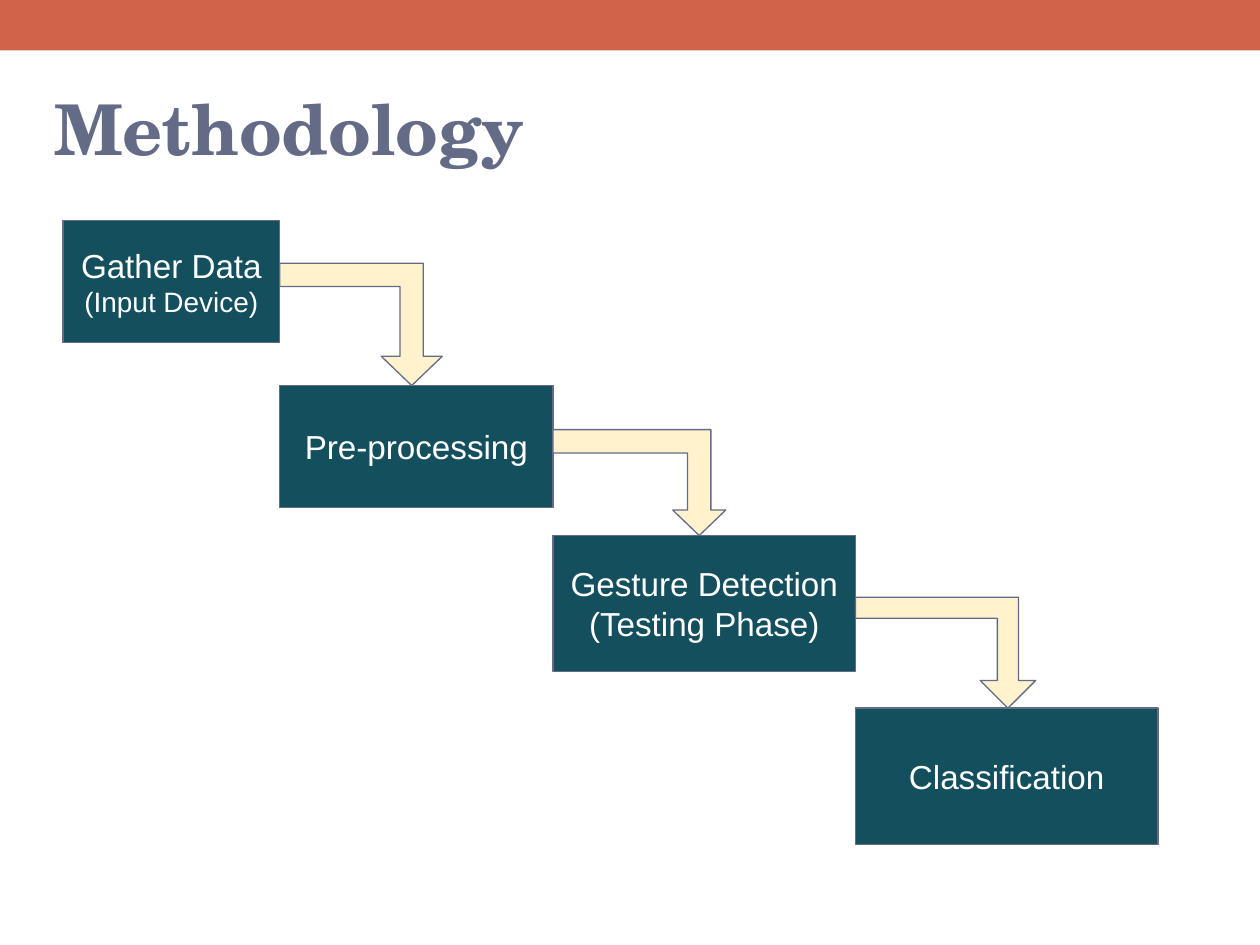
from pptx import Presentation
from pptx.dml.color import RGBColor
from pptx.enum import shapes, text
from pptx.util import Inches, Pt

COLORS = {"band": "D16349", "title": "646B86", "step": "134F5C",
          "arrow": "FFF2CC", "outline": "646B86", "label": "FFFFFF"}
KINDS = shapes.MSO_SHAPE

# Top, width, height, then (line, size) pairs
STEPS = [
    (1.75, 1.72, 0.97, [("Gather Data", 19), ("(Input Device)", 16)]),
    (3.06, 2.17, 0.97, [("Pre-processing", 19)]),
    (4.25, 2.4, 1.08, [("Gesture Detection", 19), ("(Testing Phase)", 19)]),
    (5.62, 2.4, 1.08, [("Classification", 19)]),
]
# Width, height, adjustments of the arrow leaving each step
ARROWS = [
    (1.29, 0.97, (0.19, 0.25, 0.24)),
    (1.37, 0.84, (0.22, 0.25, 0.24)),
    (1.43, 0.88, (0.19, 0.25, 0.25)),
]

prs = Presentation()
prs.slide_width, prs.slide_height = Inches(10), Inches(7.5)
slide = prs.slides.add_slide(prs.slide_layouts[5])


def add_filled(kind, left, top, width, height, fill, outline=None):
    shape = slide.shapes.add_shape(
        kind, Inches(left), Inches(top), Inches(width), Inches(height))
    shape.shadow.inherit = False
    shape.fill.solid()
    shape.fill.fore_color.rgb = RGBColor.from_string(COLORS[fill])
    if outline:
        shape.line.color.rgb = RGBColor.from_string(COLORS[outline])
        shape.line.width = Pt(0.75)
    else:
        shape.line.fill.background()
    return shape


def write_line(paragraph, words, align, color, **font_format):
    paragraph.alignment = align
    run = paragraph.add_run()
    run.text = words
    run.font.color.rgb = RGBColor.from_string(COLORS[color])
    for key, value in font_format.items():
        setattr(run.font, key, value)


add_filled(KINDS.RECTANGLE, 0, 0, 10, 0.4, "band")

title = slide.shapes.title
title_place = {"left": 0.33, "top": 0.47, "width": 9, "height": 1.08}
for key, value in title_place.items():
    setattr(title, key, Inches(value))
title.text_frame.vertical_anchor = text.MSO_ANCHOR.MIDDLE
write_line(title.text_frame.paragraphs[0], "Methodology", text.PP_ALIGN.LEFT,
           "title", name="TeX Gyre Schola", size=Pt(40), bold=True)

left = 0.5
for i, (top, width, height, lines) in enumerate(STEPS):
    step = add_filled(KINDS.RECTANGLE, left, top, width, height,
                      "step", "outline")
    frame = step.text_frame
    frame_format = {"word_wrap": True,
                    "vertical_anchor": text.MSO_ANCHOR.MIDDLE}
    for side in ("left", "top", "right", "bottom"):
        frame_format[f"margin_{side}"] = Inches(0.1)
    for key, value in frame_format.items():
        setattr(frame, key, value)
    for n, (words, size) in enumerate(lines):
        paragraph = frame.add_paragraph() if n else frame.paragraphs[0]
        write_line(paragraph, words, text.PP_ALIGN.CENTER, "label",
                   name="Arial", size=Pt(size))
    left += width

    # Each arrow starts at the step's right edge and ends on the next step
    if i < len(ARROWS):
        arrow_width, arrow_height, adjustments = ARROWS[i]
        arrow = add_filled(KINDS.BENT_UP_ARROW, left,
                           STEPS[i + 1][0] - arrow_height,
                           arrow_width, arrow_height, "arrow", "outline")
        arrow.rotation = 180
        arrow._element.spPr.xfrm.set("flipH", "1")
        for n, value in enumerate(adjustments):
            arrow.adjustments[n] = value

prs.save("out.pptx")
